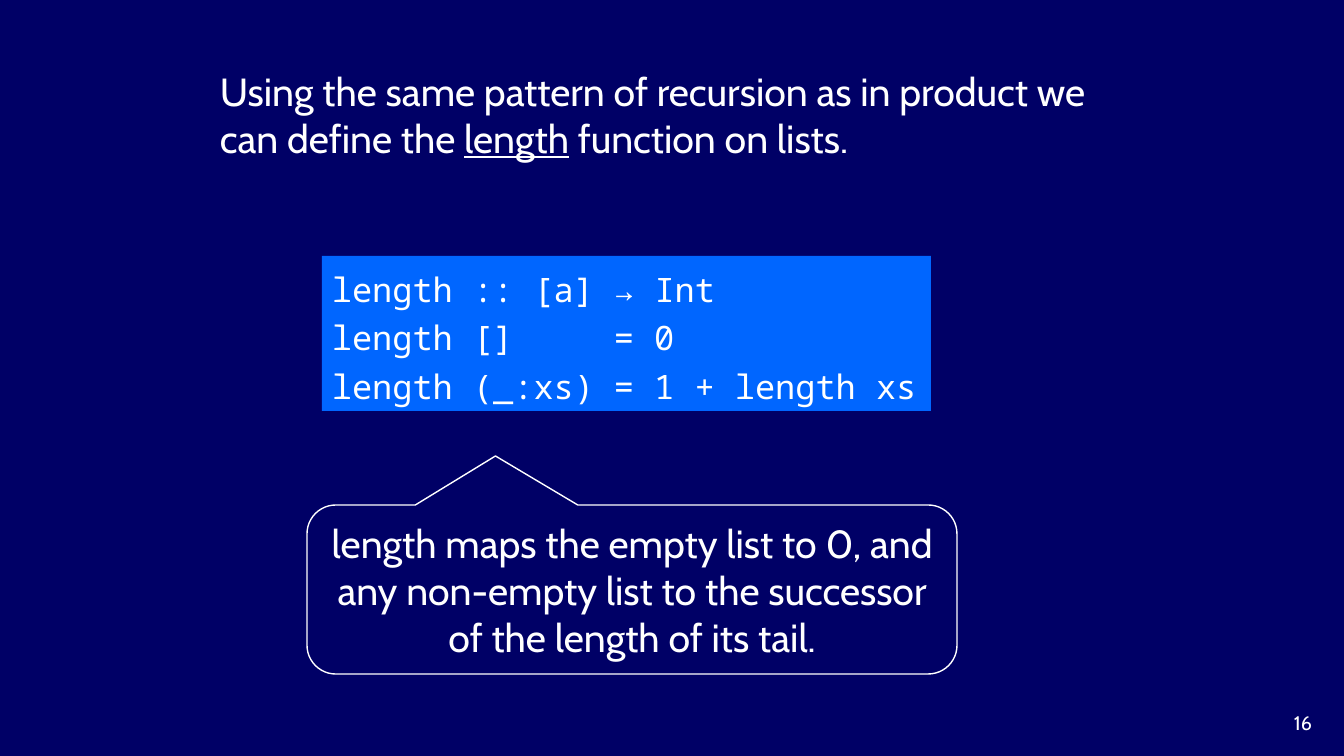
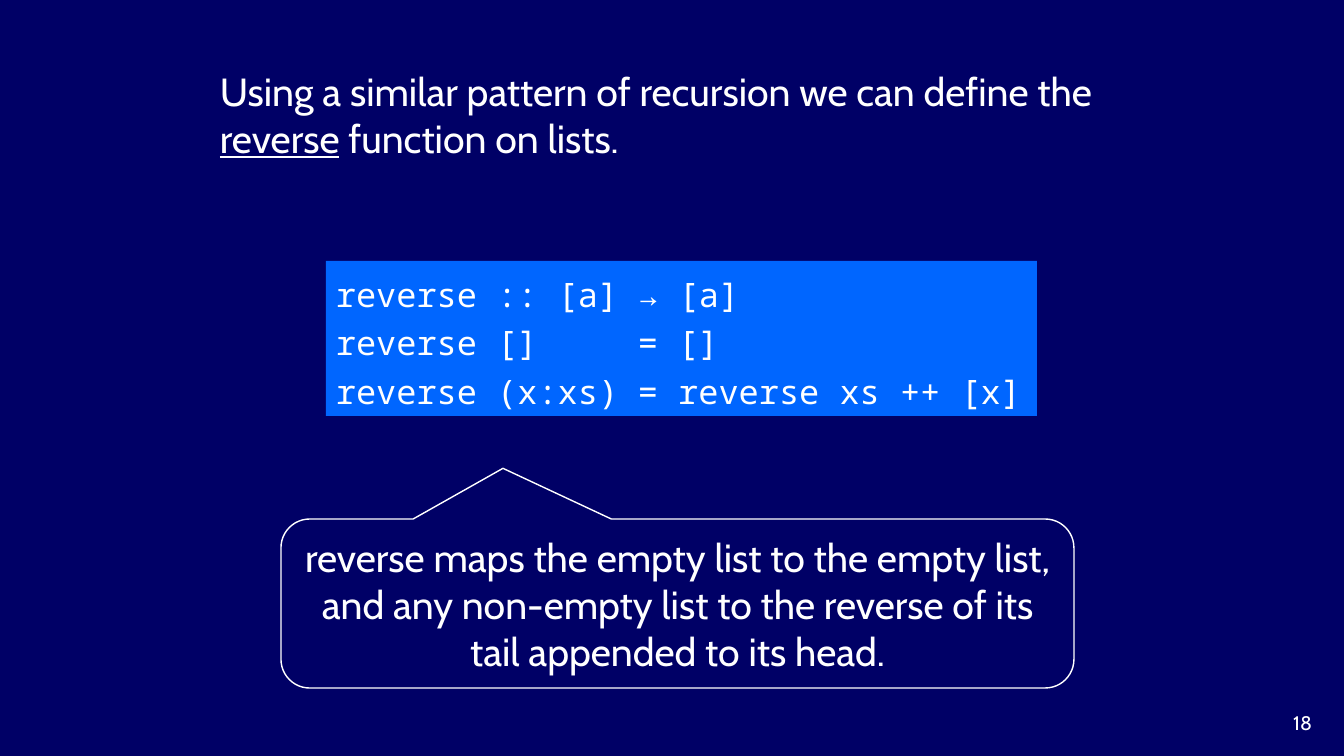
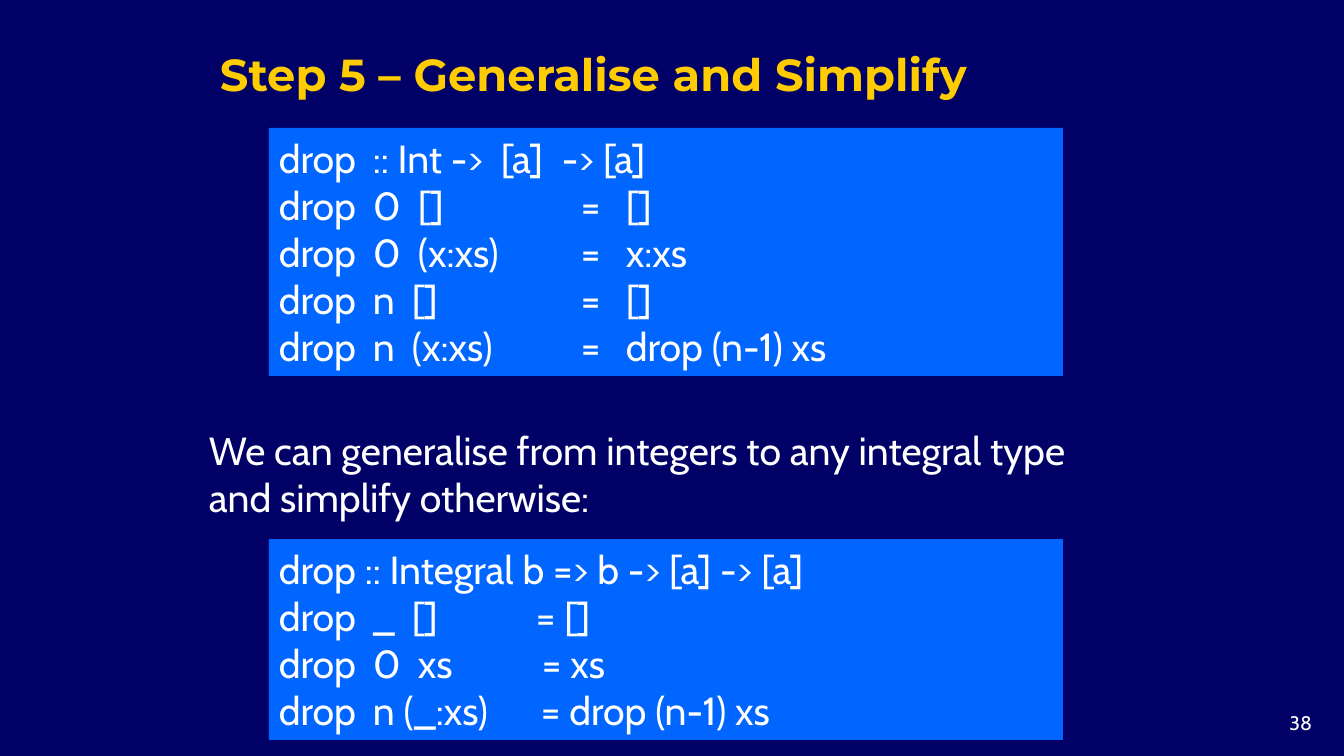
from lxml.etree import SubElement
from pptx import Presentation
from pptx.dml.color import RGBColor
from pptx.enum.shapes import MSO_SHAPE
from pptx.enum.text import MSO_ANCHOR, MSO_AUTO_SIZE, PP_ALIGN
from pptx.oxml.ns import qn
from pptx.util import Emu, Pt

COLORS = {"background": "000066", "code": "0066FF", "text": "FFFFFF", "title": "FFCC00"}
EMU_PER_PX = 914400 / 100.8
BODY, HEADING, MONO = "Cabin", "Montserrat", "Noto Sans Mono"

NUMBER_BOX = (1232, 706, 90, 33)
INTRO_BOX = (210, 62, 911, 104)
TITLE_BOX = (210, 42, 882, 76)

# Code lines alternate text with the tab stop, in px, of the text that follows.
RECURSION_SLIDES = [
    {
        "number": "16",
        "intro": ("Using the same pattern of recursion as in product we can define the ",
                  "length", " function on lists."),
        "code_box": (322, 256, 609, 155),
        "code": [("length :: [a] → Int",),
                 ("length []", 282, "= 0"),
                 ("length (_:xs)", 282, "= 1 + length xs")],
        "callout_box": (307, 505, 650, 169),
        "pointer": (-0.21, -0.79, 0.17),
        "callout": "length maps the empty list to 0, and any non-empty list "
                   "to the successor of the length of its tail.",
    },
    {
        "number": "18",
        "intro": ("Using a similar pattern of recursion we can define the ",
                  "reverse", " function on lists."),
        "code_box": (326, 261, 711, 155),
        "code": [("reverse :: [a] → [a]",),
                 ("reverse []", 302, "= []"),
                 ("reverse (x:xs)", 302, "= reverse xs ++ [x]")],
        "callout_box": (281, 519, 793, 169),
        "pointer": (-0.22, -0.8, 0.17),
        "callout": "reverse maps the empty list to the empty list, and any non-empty list "
                   "to the reverse of its tail appended to its head.",
    },
]

SIMPLIFY_SLIDE = {
    "number": "38",
    "title": "Step 5 – Generalise and Simplify",
    "prose_box": (199, 421, 913, 107),
    "prose": "We can generalise from integers to any integral type and simplify otherwise:",
    "blocks": [
        ((269, 128, 794, 248), [
            ("drop", 94, ":: Int ->", 222, "[a]", 283, "-> [a]"),
            ("drop", 94, "0", 139, "[]", 302, "=", 347, "[]"),
            ("drop", 94, "0", 139, "(x:xs)", 302, "=", 347, "x:xs"),
            ("drop", 94, "n", 133, "[]", 302, "=", 347, "[]"),
            ("drop", 94, "n", 133, "(x:xs)", 302, "=", 347, "drop (n-1) xs"),
        ]),
        ((269, 539, 794, 201), [
            ("drop :: Integral b => b -> [a] -> [a]",),
            ("drop", 94, "_", 133, "[]", 257, "= []"),
            ("drop", 94, "0", 139, "xs", 263, "= xs"),
            ("drop", 94, "n (_:xs)", 262, "= drop (n-1) xs"),
        ]),
    ],
}


def px(length):
    return Emu(round(length * EMU_PER_PX))


def color(name):
    return RGBColor.from_string(COLORS[name])


def style(paragraph, size=28, font=BODY, fill="text", align=PP_ALIGN.LEFT):
    paragraph.alignment = align
    paragraph.font.size = Pt(size)
    paragraph.font.name = font
    paragraph.font.color.rgb = color(fill)


def prepare_frame(shape, anchor):
    frame = shape.text_frame
    frame.word_wrap = True
    frame.vertical_anchor = anchor
    return frame


def add_text(slide, box, pieces, anchor=MSO_ANCHOR.TOP, bold=False, **look):
    shape = slide.shapes.add_textbox(*map(px, box))
    paragraph = prepare_frame(shape, anchor).paragraphs[0]
    style(paragraph, **look)
    paragraph.font.bold = bold
    for index, piece in enumerate(pieces):
        run = paragraph.add_run()
        run.text = piece
        if index == 1:
            run.font.underline = True


def add_panel(slide, kind, box):
    shape = slide.shapes.add_shape(kind, *map(px, box))
    shape.shadow.inherit = False
    frame = prepare_frame(shape, MSO_ANCHOR.MIDDLE)
    frame.auto_size = MSO_AUTO_SIZE.SHAPE_TO_FIT_TEXT
    return shape, frame


def add_code(slide, box, lines, line_spacing=None, **look):
    shape, frame = add_panel(slide, MSO_SHAPE.RECTANGLE, box)
    shape.fill.solid()
    shape.fill.fore_color.rgb = color("code")
    shape.line.fill.background()
    for index, line in enumerate(lines):
        paragraph = frame.add_paragraph() if index else frame.paragraphs[0]
        paragraph.text = "\t".join(line[::2])
        paragraph.line_spacing = line_spacing
        if line[1::2]:
            tabs = SubElement(paragraph._p.get_or_add_pPr(), qn("a:tabLst"))
            for stop in line[1::2]:
                SubElement(tabs, qn("a:tab"), pos=str(px(stop)), algn="l")
        style(paragraph, **look)


def add_callout(slide, box, text, pointer):
    shape, frame = add_panel(slide, MSO_SHAPE.ROUNDED_RECTANGULAR_CALLOUT, box)
    for index, value in enumerate(pointer):
        shape.adjustments[index] = value
    shape.fill.background()
    shape.line.color.rgb = color("text")
    shape.line.width = Pt(1)
    frame.text = text
    style(frame.paragraphs[0], align=PP_ALIGN.CENTER)


def add_slide(presentation, number):
    slide = presentation.slides.add_slide(presentation.slide_layouts[6])
    add_text(slide, NUMBER_BOX, [number], size=14, align=PP_ALIGN.RIGHT)
    return slide


def main():
    presentation = Presentation()
    presentation.slide_width, presentation.slide_height = px(1344), px(756)
    background = presentation.slide_master.background.fill
    background.solid()
    background.fore_color.rgb = color("background")

    for content in RECURSION_SLIDES:
        slide = add_slide(presentation, content["number"])
        add_text(slide, INTRO_BOX, content["intro"], MSO_ANCHOR.MIDDLE)
        add_code(slide, content["code_box"], content["code"], 1.2, size=24, font=MONO)
        add_callout(slide, content["callout_box"], content["callout"], content["pointer"])

    slide = add_slide(presentation, SIMPLIFY_SLIDE["number"])
    add_text(slide, SIMPLIFY_SLIDE["prose_box"], [SIMPLIFY_SLIDE["prose"]])
    add_text(slide, TITLE_BOX, [SIMPLIFY_SLIDE["title"]], bold=True,
             size=32, font=HEADING, fill="title")
    for box, lines in SIMPLIFY_SLIDE["blocks"]:
        add_code(slide, box, lines)

    presentation.save("out.pptx")


if __name__ == "__main__":
    main()
